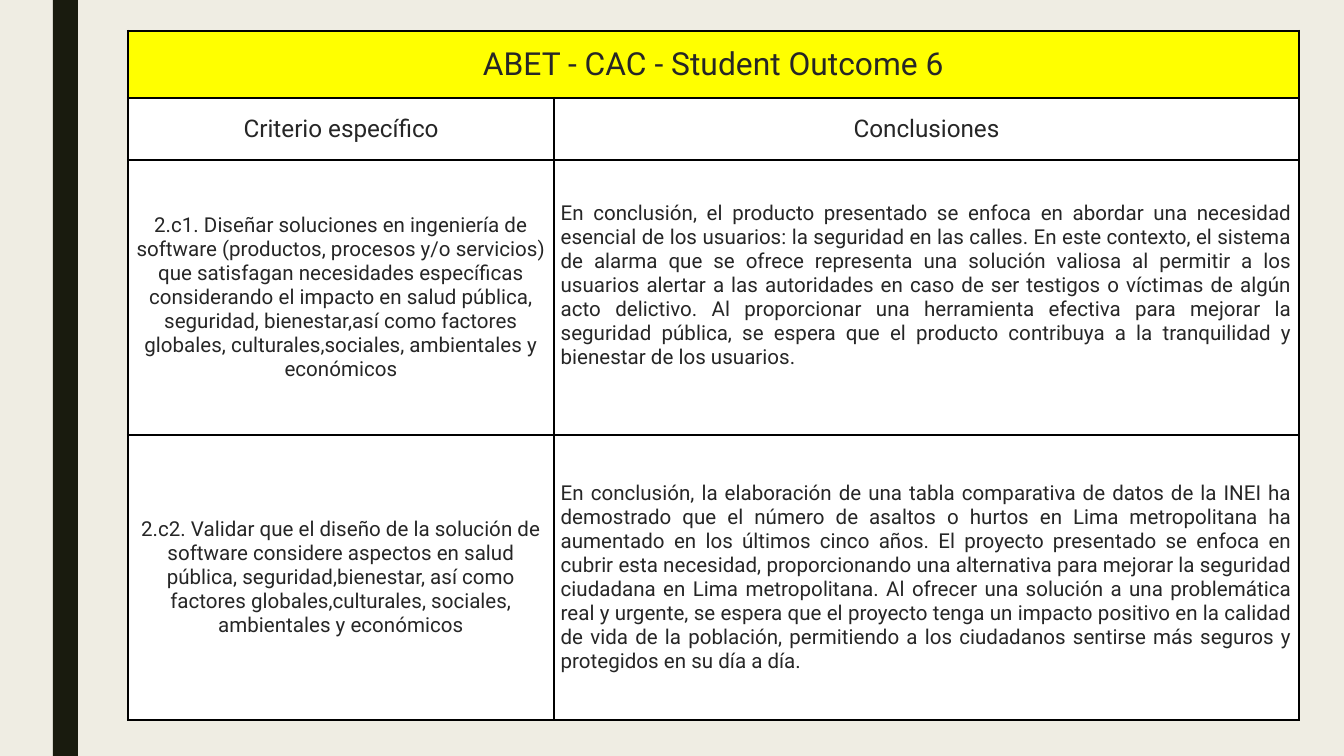
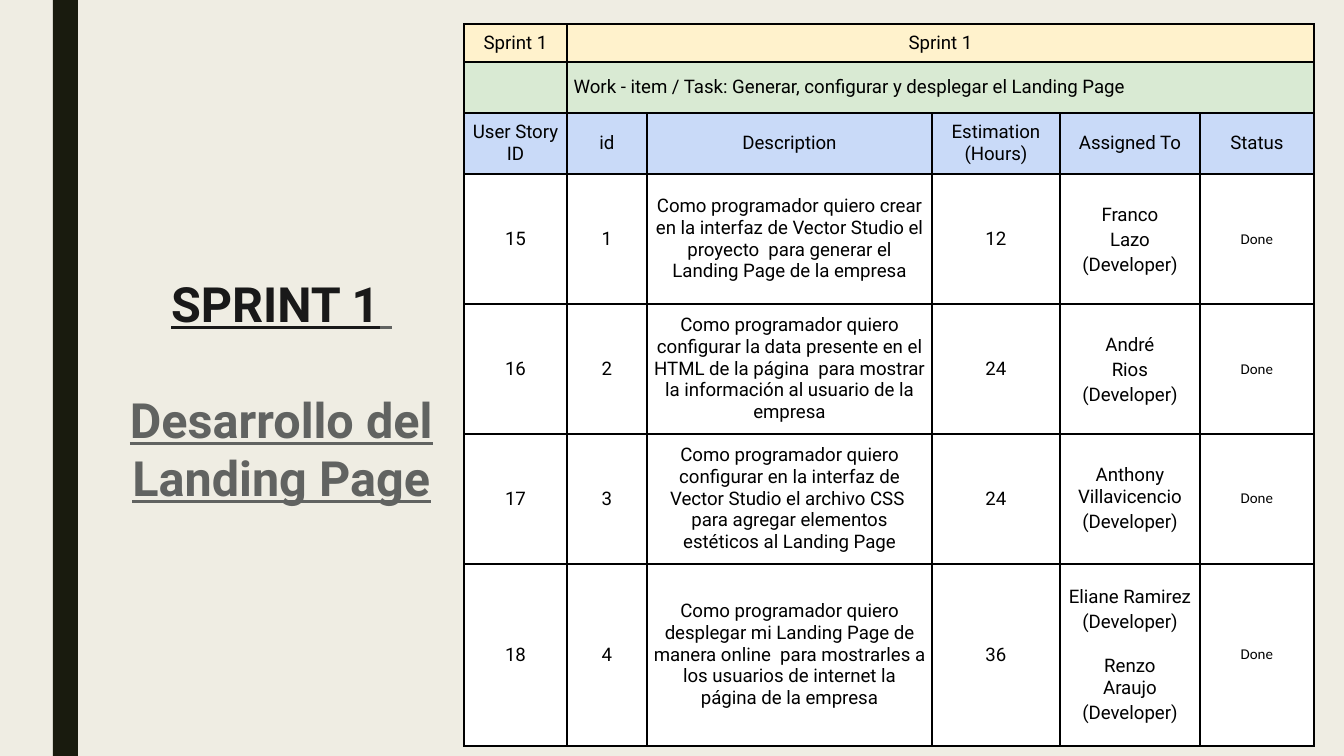
from dataclasses import dataclass

from lxml import etree
from pptx import Presentation
from pptx import util as u
from pptx.dml.color import RGBColor
from pptx.enum import shapes, text
from pptx.oxml import ns

PX = 12700 * 72 / 134.4  # EMU per px
CENTER, LEFT, JUSTIFY = text.PP_ALIGN.CENTER, text.PP_ALIGN.LEFT, text.PP_ALIGN.JUSTIFY


@dataclass(frozen=True)
class Theme:
    background: str = "EFEDE3"
    band: str = "191B0E"
    black: str = "000000"
    ink: str = "262626"
    title: str = "191919"
    subtitle: str = "616361"
    white: str = "FFFFFF"
    yellow: str = "FFFF00"
    cream: str = "FFF2CC"
    green: str = "D9EAD3"
    blue: str = "C9DAF8"
    font: str = "Roboto"
    status_font: str = "Calibri"
    title_size: int = 26
    outcome_size: int = 17
    header_size: int = 13
    body_size: int = 11
    sprint_size: int = 10
    status_size: int = 8


T = Theme()


@dataclass
class Line:
    """One paragraph of a cell."""
    text: str
    spacing: float = None
    before: int = 0


def px(n):
    return u.Emu(round(n * PX))


def rgb(color):
    return RGBColor.from_string(color)


def style(font, size, color, name=T.font):
    font.size, font.name = u.Pt(size), name
    font.color.rgb = rgb(color)


# Shared background and side band

def set_master(prs, slide):
    master = prs.slide_master
    master.background.fill.solid()
    master.background.fill.fore_color.rgb = rgb(T.background)
    sp = slide.shapes.add_shape(shapes.MSO_SHAPE.RECTANGLE, px(53), 0, px(25), prs.slide_height)
    sp.shadow.inherit = False
    sp.fill.solid()
    sp.fill.fore_color.rgb = rgb(T.band)
    sp.line.fill.background()
    sp.element.nvSpPr.cNvPr.set("id", "99")
    master.shapes.element.insert(2, sp.element)


# Tables

def add_borders(cell, width):
    tcPr = cell._tc.get_or_add_tcPr()
    for side in "LRTB":
        ln = etree.SubElement(tcPr, ns.qn(f"a:ln{side}"), w=str(u.Pt(width)))
        fill = etree.SubElement(ln, ns.qn("a:solidFill"))
        etree.SubElement(fill, ns.qn("a:srgbClr"), val=T.black)


def add_grid(slide, left, top, cols, rows, border):
    frame = slide.shapes.add_table(len(rows), len(cols), px(left), px(top),
                                   px(sum(cols)), px(sum(rows)))
    table = frame.table
    table.first_row = table.horz_banding = False
    for col, width in zip(table.columns, cols):
        col.width = px(width)
    for row, height in zip(table.rows, rows):
        row.height = px(height)
    for cell in table.iter_cells():
        add_borders(cell, border)
    return table


def fill_cell(cell, content, fill, size, color=T.black, align=CENTER, font=T.font):
    cell.fill.solid()
    cell.fill.fore_color.rgb = rgb(fill)
    cell.vertical_anchor = text.MSO_ANCHOR.MIDDLE
    cell.margin_left = cell.margin_right = cell.margin_top = cell.margin_bottom = u.Inches(0.05)
    lines = [Line(content)] if isinstance(content, str) else content
    tf = cell.text_frame
    for i, line in enumerate(lines):
        p = tf.add_paragraph() if i else tf.paragraphs[0]
        if line.text:
            p.text = line.text
        p.alignment = align
        if line.spacing:
            p.line_spacing = line.spacing
        if line.before:
            p.space_before = u.Pt(line.before)
        style(p.font, size, color, font)


# Slide 1: student outcome

OUTCOMES = [
    ("2.c1. Diseñar soluciones en ingeniería de software (productos, procesos y/o servicios) "
     "que satisfagan necesidades específicas considerando el impacto en salud pública, "
     "seguridad, bienestar,así como factores globales, culturales,sociales, ambientales y "
     "económicos",
     "En conclusión, el producto presentado se enfoca en abordar una necesidad esencial de los "
     "usuarios: la seguridad en las calles. En este contexto, el sistema de alarma que se ofrece "
     "representa una solución valiosa al permitir a los usuarios alertar a las autoridades en "
     "caso de ser testigos o víctimas de algún acto delictivo. Al proporcionar una herramienta "
     "efectiva para mejorar la seguridad pública, se espera que el producto contribuya a la "
     "tranquilidad y bienestar de los usuarios."),
    ("2.c2. Validar que el diseño de la solución de software considere aspectos en salud "
     "pública, seguridad,bienestar, así como factores globales,culturales, sociales, "
     "ambientales y económicos",
     "En conclusión, la elaboración de una tabla comparativa de datos de la INEI ha demostrado "
     "que el número de asaltos o hurtos en Lima metropolitana ha aumentado en los últimos cinco "
     "años. El proyecto presentado se enfoca en cubrir esta necesidad, proporcionando una "
     "alternativa para mejorar la seguridad ciudadana en Lima metropolitana. Al ofrecer una "
     "solución a una problemática real y urgente, se espera que el proyecto tenga un impacto "
     "positivo en la calidad de vida de la población, permitiendo a los ciudadanos sentirse más "
     "seguros y protegidos en su día a día."),
]


def outcome_table(slide, left, top):
    table = add_grid(slide, left, top, [426, 745], [67, 62, 275, 285], 1.5)
    table.cell(0, 0).merge(table.cell(0, 1))
    fill_cell(table.cell(0, 0), "ABET - CAC - Student Outcome 6", T.yellow, T.outcome_size, T.ink)
    for c, label in enumerate(["Criterio específico", "Conclusiones"]):
        fill_cell(table.cell(1, c), label, T.white, T.header_size, T.ink)
    for r, pair in enumerate(OUTCOMES, 2):
        for c, (content, align) in enumerate(zip(pair, [CENTER, JUSTIFY])):
            fill_cell(table.cell(r, c), content, T.white, T.body_size, T.ink, align)
    table.cell(2, 1).margin_bottom = px(31)  # first conclusion sits a little higher


# Slide 2: sprint backlog

HEADERS = ["User Story ID", "id", "Description", "Estimation (Hours)", "Assigned To", "Status"]
DEVELOPER = Line("(Developer)", 1.15)
STORIES = [
    ("Como programador quiero crear en la interfaz de Vector Studio el proyecto  para generar "
     "el Landing Page de la empresa",
     "12", [Line("Franco", 1.15), Line("Lazo", 1.15), DEVELOPER]),
    ("Como programador quiero configurar la data presente en el HTML de la página  para mostrar "
     "la información al usuario de la empresa",
     "24", [Line("André", 1.15), Line("Rios", 1.15), DEVELOPER]),
    ("Como programador quiero configurar en la interfaz de Vector Studio el archivo CSS  para "
     "agregar elementos estéticos al Landing Page",
     "24", [Line("Anthony Villavicencio"), DEVELOPER]),
    ("Como programador quiero desplegar mi Landing Page de manera online  para mostrarles a los "
     "usuarios de internet la página de la empresa",
     "36", [Line("Eliane Ramirez"), DEVELOPER, Line("Renzo", before=12), Line("Araujo"),
            DEVELOPER]),
]


def sprint_table(slide, left, top):
    table = add_grid(slide, left, top, [103, 80, 285, 128, 140, 114],
                     [38, 51, 61, 130, 130, 130, 182], 1)
    task = "Work - item / Task: Generar, configurar y desplegar el Landing Page"
    bands = [("Sprint 1", "Sprint 1", T.cream, CENTER), ("", task, T.green, LEFT)]
    for r, (first, rest, fill, align) in enumerate(bands):
        table.cell(r, 1).merge(table.cell(r, 5))
        fill_cell(table.cell(r, 0), first, fill, T.sprint_size)
        fill_cell(table.cell(r, 1), rest, fill, T.sprint_size, align=align)
    for c, label in enumerate(HEADERS):
        fill_cell(table.cell(2, c), label, T.blue, T.sprint_size)
    for i, story in enumerate(STORIES):
        for c, content in enumerate([str(15 + i), str(1 + i), *story]):
            fill_cell(table.cell(3 + i, c), content, T.white, T.sprint_size)
        fill_cell(table.cell(3 + i, 5), "Done", T.white, T.status_size, font=T.status_font)


def sprint_title(slide, left, top, width, height):
    sp = slide.shapes.title
    sp.left, sp.top, sp.width, sp.height = px(left), px(top), px(width), px(height)
    tf = sp.text_frame
    tf.word_wrap = True
    tf.auto_size = text.MSO_AUTO_SIZE.NONE
    tf.vertical_anchor = text.MSO_ANCHOR.TOP
    tf.margin_left = tf.margin_right = tf.margin_top = tf.margin_bottom = px(9)
    paragraphs = [[("SPRINT 1", T.title), (" ", T.subtitle)],
                  [("Desarrollo del Landing Page", T.subtitle)]]
    for i, runs in enumerate(paragraphs):
        p = tf.add_paragraph() if i else tf.paragraphs[0]
        p.alignment = CENTER
        if i:
            p.space_before = u.Pt(31)
        for content, color in runs:
            r = p.add_run()
            r.text = content
            style(r.font, T.title_size, color)
            r.font.bold = r.font.underline = True


def main():
    prs = Presentation()
    prs.slide_width, prs.slide_height = px(1344), px(756)
    title_only, blank = prs.slide_layouts[5], prs.slide_layouts[6]

    outcome = prs.slides.add_slide(blank)
    set_master(prs, outcome)
    outcome_table(outcome, 128, 31)

    sprint = prs.slides.add_slide(title_only)
    sprint_table(sprint, 464, 24)
    sprint_title(sprint, 116, 265, 331, 256)

    prs.save("out.pptx")


if __name__ == "__main__":
    main()
